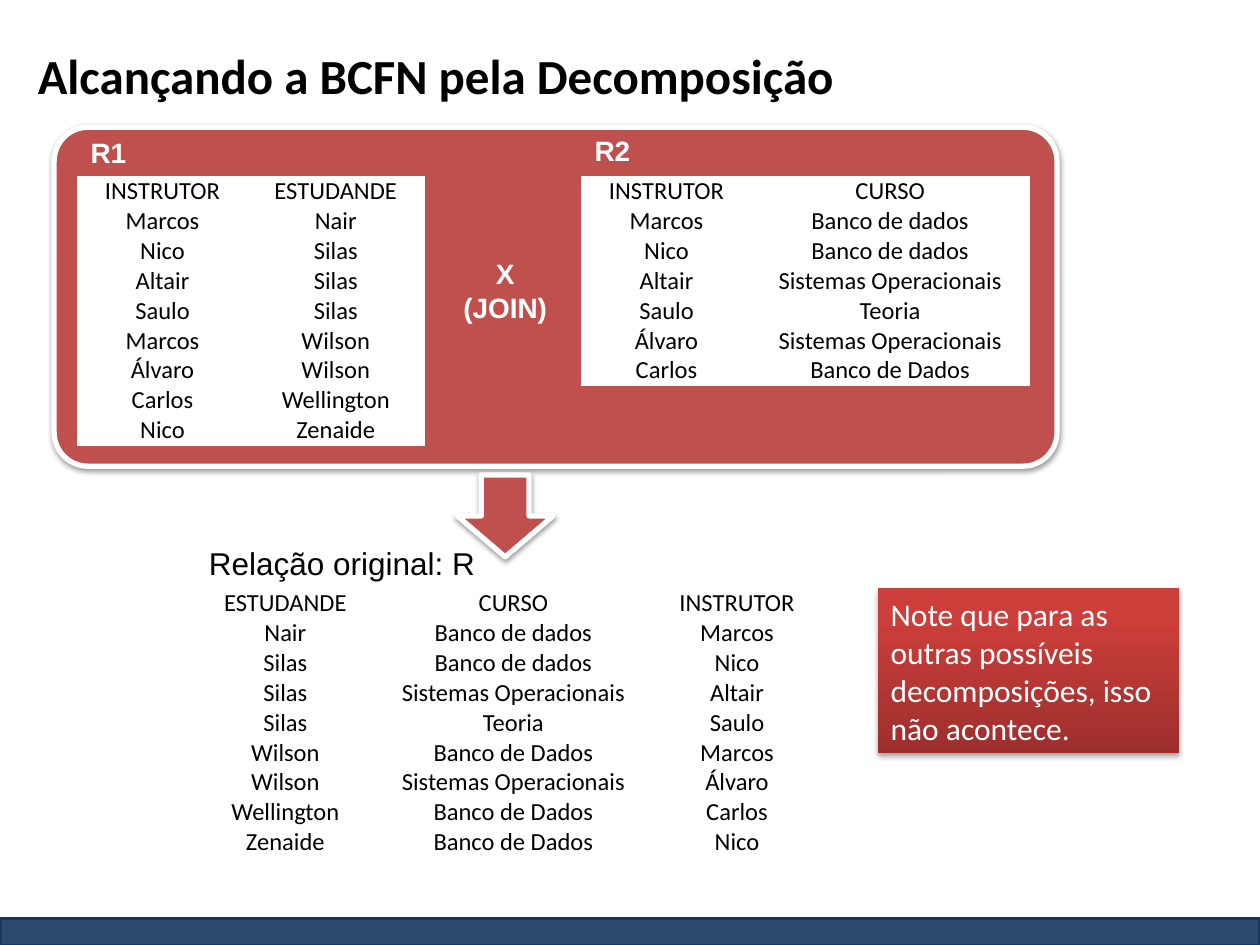
from lxml import etree
from pptx import Presentation
from pptx.dml.color import RGBColor
from pptx.enum.shapes import MSO_SHAPE
from pptx.enum.text import MSO_ANCHOR, PP_ALIGN
from pptx.oxml import parse_xml
from pptx.oxml.ns import qn
from pptx.util import Inches, Pt

LEFT, CENTER = PP_ALIGN.LEFT, PP_ALIGN.CENTER
MIDDLE = MSO_ANCHOR.MIDDLE
RECTANGLE, ROUNDED, DOWN_ARROW = MSO_SHAPE.RECTANGLE, MSO_SHAPE.ROUNDED_RECTANGLE, MSO_SHAPE.DOWN_ARROW
DRAWING_NS = "http://schemas.openxmlformats.org/drawingml/2006/main"
WHITE, BLACK, RED, NAVY = "FFFFFF", "000000", "C0504D", "17375E"
NOTE_DARK, NOTE_LIGHT = "9C2F2D", "CB3E3A"

TITLE = "Alcançando a BCFN pela Decomposição"
NOTE = "Note que para as outras possíveis decomposições, isso não acontece."

INSTRUCTORS = ["INSTRUTOR", "Marcos", "Nico", "Altair", "Saulo", "Marcos", "Álvaro", "Carlos", "Nico"]
STUDENTS = ["ESTUDANDE", "Nair", "Silas", "Silas", "Silas", "Wilson", "Wilson", "Wellington", "Zenaide"]
COURSES = ["CURSO", "Banco de dados", "Banco de dados", "Sistemas Operacionais", "Teoria",
           "Banco de Dados", "Sistemas Operacionais", "Banco de Dados", "Banco de Dados"]
R2_INSTRUCTORS = ["INSTRUTOR", "Marcos", "Nico", "Altair", "Saulo", "Álvaro", "Carlos"]
R2_COURSES = ["CURSO", "Banco de dados", "Banco de dados", "Sistemas Operacionais", "Teoria",
              "Sistemas Operacionais", "Banco de Dados"]

INSTRUCTOR_WIDTH, STUDENT_WIDTH, COURSE_WIDTH, ROW_HEIGHT = 1.34, 1.41, 2.21, 0.23
RELATIONS = [
    (4.62, 1.4, [(R2_INSTRUCTORS, INSTRUCTOR_WIDTH), (R2_COURSES, COURSE_WIDTH)]),
    (0.62, 1.4, [(INSTRUCTORS, INSTRUCTOR_WIDTH), (STUDENTS, STUDENT_WIDTH)]),
    (1.56, 4.67, [(STUDENTS, STUDENT_WIDTH), (COURSES, COURSE_WIDTH), (INSTRUCTORS, INSTRUCTOR_WIDTH)]),
]
LABELS = [
    (["R1"], (0.62, 1.03, 0.49, 0.37), LEFT, 16, WHITE, True),
    (["R2"], (4.62, 1.01, 0.49, 0.37), LEFT, 16, WHITE, True),
    (["X", "(JOIN)"], (3.57, 1.99, 0.88, 0.64), CENTER, 16, WHITE, True),
    (["Relação original: R"], (1.56, 4.27, 2.33, 0.4), LEFT, 18, BLACK, False),
]


def rgb(value):
    """Return the colour of a hex string."""
    return RGBColor.from_string(value)


def write(frame, lines, align, size, color, bold=False, font="Calibri"):
    """Fill a text frame with uniformly formatted paragraphs."""
    frame.text = "\n".join(lines)
    for paragraph in frame.paragraphs:
        paragraph.alignment = align
        paragraph.font.size = Pt(size)
        paragraph.font.name = font
        paragraph.font.bold = bold
        paragraph.font.color.rgb = rgb(color)


def add_box(slide, preset, box, fill, line=None, width=3):
    """Add a preset shape with a solid fill and no shadow."""
    shape = slide.shapes.add_shape(preset, *map(Inches, box))
    shape.shadow.inherit = False
    shape.fill.solid()
    shape.fill.fore_color.rgb = rgb(fill)
    if line:
        shape.line.color.rgb = rgb(line)
        shape.line.width = Pt(width)
    else:
        shape.line.fill.background()
    return shape


def add_shadow(shape, alpha, distance):
    """Give a shape a soft black shadow falling downwards."""
    effects = shape._element.spPr.find(qn("a:effectLst"))
    effects.append(parse_xml(
        f'<a:outerShdw xmlns:a="{DRAWING_NS}" blurRad="{Pt(3.1)}" dist="{Pt(distance)}" '
        f'dir="5400000" rotWithShape="0"><a:srgbClr val="{BLACK}">'
        f'<a:alpha val="{alpha * 1000}"/></a:srgbClr></a:outerShdw>'))


def add_borders(cell):
    """Draw thin white borders on all sides of a cell."""
    properties = cell._tc.get_or_add_tcPr()
    for position, side in enumerate(("lnL", "lnR", "lnT", "lnB")):
        properties.insert(position, parse_xml(
            f'<a:{side} xmlns:a="{DRAWING_NS}" w="{Pt(1)}"><a:solidFill>'
            f'<a:srgbClr val="{WHITE}"/></a:solidFill></a:{side}>'))


def add_relation(slide, left, top, columns):
    """Add a table from columns given as values and width."""
    rows = list(zip(*(values for values, _ in columns)))
    widths = [width for _, width in columns]
    box = (left, top, sum(widths), ROW_HEIGHT * len(rows))
    table = slide.shapes.add_table(len(rows), len(columns), *map(Inches, box)).table
    table.first_row = table.horz_banding = False
    for column, width in zip(table.columns, widths):
        column.width = Inches(width)
    for r, row in enumerate(rows):
        for c, value in enumerate(row):
            cell = table.cell(r, c)
            cell.margin_left = cell.margin_right = Inches(0.08)
            cell.margin_top = cell.margin_bottom = 0
            cell.vertical_anchor = MIDDLE
            cell.fill.solid()
            cell.fill.fore_color.rgb = rgb(WHITE)
            add_borders(cell)
            write(cell.text_frame, [value], CENTER, 14, BLACK)


def add_note(slide):
    """Add the remark on a red gradient."""
    note = add_box(slide, RECTANGLE, (6.97, 4.67, 2.39, 1.31), NOTE_LIGHT)
    note.fill.gradient()
    note.fill.gradient_angle = 90
    for stop, color, position in zip(note.fill.gradient_stops, (NOTE_DARK, NOTE_LIGHT), (0, 0.8)):
        stop.color.rgb = rgb(color)
        stop.position = position
    add_shadow(note, 35, 1.8)
    note.text_frame.word_wrap = True
    write(note.text_frame, [NOTE], LEFT, 18, WHITE)


def main():
    """Build the slide and save it."""
    deck = Presentation()
    deck.slide_width, deck.slide_height = Inches(10), Inches(7.5)
    slide = deck.slides.add_slide(deck.slide_layouts[5])

    footer = add_box(slide, RECTANGLE, (0, 7.29, 10, 0.22), NAVY, NAVY, 2)
    footer_color = footer._element.spPr.find(qn("a:solidFill"))[0]
    etree.SubElement(footer_color, qn("a:alpha"), val="90000")

    panel = add_box(slide, ROUNDED, (0.43, 1.01, 7.96, 2.69), RED, WHITE)
    panel.adjustments[0] = 0.1
    add_shadow(panel, 38, 1.6)

    title = slide.shapes.title
    title.left, title.top, title.width, title.height = map(Inches, (0.2, 0.29, 9.61, 0.61))
    title.text_frame.vertical_anchor = MIDDLE
    write(title.text_frame, [TITLE], LEFT, 28, BLACK, True)

    for relation in RELATIONS:
        add_relation(slide, *relation)
    add_shadow(add_box(slide, DOWN_ARROW, (3.63, 3.77, 0.76, 0.65), RED, WHITE), 38, 1.6)
    for lines, box, align, size, color, bold in LABELS:
        label = slide.shapes.add_textbox(*map(Inches, box))
        label.text_frame.word_wrap = False
        write(label.text_frame, lines, align, size, color, bold, "Arial")
    add_note(slide)
    deck.save("out.pptx")


if __name__ == "__main__":
    main()
